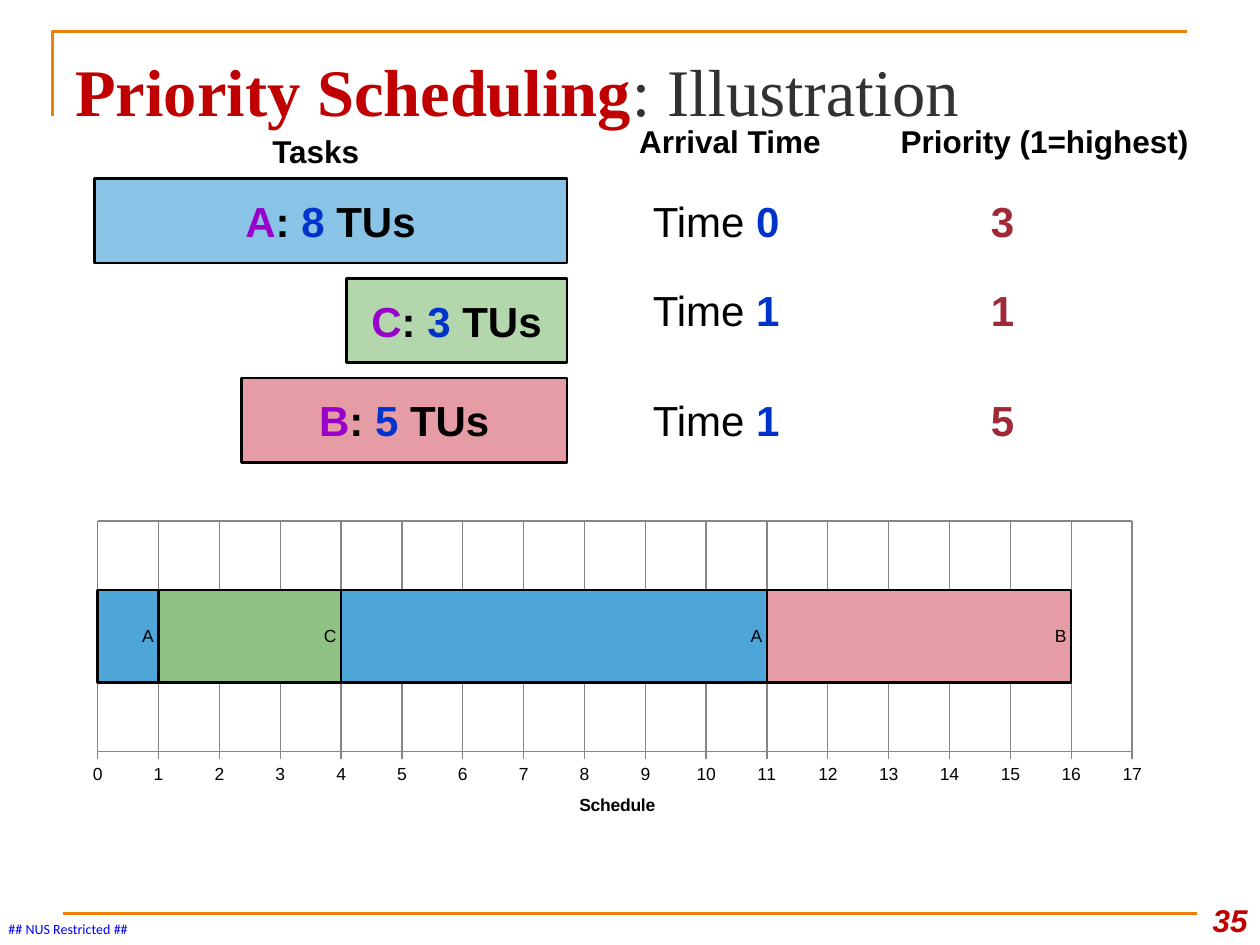
from lxml import etree
from pptx import Presentation
from pptx import util as u
from pptx.chart import data
from pptx.dml.color import RGBColor
from pptx.enum import chart as ch, shapes, text
from pptx.oxml import parse_xml
from pptx.oxml.ns import nsdecls, qn

COLORS = {
    "accent": "F07F09", "black": "000000", "title": "323232", "red": "C00000",
    "name": "9900CC", "number": "0033CC", "priority": "9F2936", "footer": "0000FF",
    "task_a": "89C3E5", "task_c": "B3D6AC", "task_b": "E69CA4",
    "bar_a": "4EA5D8", "bar_c": "8EC182", "bar_b": "E69CA4", "grid": "868686",
}
ALIGN = {"l": text.PP_ALIGN.LEFT, "c": text.PP_ALIGN.CENTER, "r": text.PP_ALIGN.RIGHT}
ANCHOR = {"t": text.MSO_ANCHOR.TOP, "m": text.MSO_ANCHOR.MIDDLE, "b": text.MSO_ANCHOR.BOTTOM}


def rgb(name):
    return RGBColor.from_string(COLORS[name])


def add_run(p, content, size=24, color="black", bold=False, italic=False, font="Arial"):
    r = p.add_run()
    r.text = content
    f = r.font
    f.name, f.size, f.bold, f.italic = font, u.Pt(size), bold, italic
    f.color.rgb = rgb(color)


class SlideBuilder:
    line_width = u.Pt(1.5)

    def __init__(self, s):
        self.s = s

    def outline(self, line, color):
        line.color.rgb = rgb(color)
        line.width = self.line_width

    def fill_text(self, tf, runs, align="l", anchor="t", wrap=True):
        tf.word_wrap = wrap
        tf.vertical_anchor = ANCHOR[anchor]
        p = tf.paragraphs[0]
        p.alignment = ALIGN[align]
        for content, fmt in runs:
            add_run(p, content, **fmt)

    def text(self, x, y, w, h, runs, inset=True, **kw):
        tf = self.s.shapes.add_textbox(u.Cm(x), u.Cm(y), u.Cm(w), u.Cm(h)).text_frame
        if not inset:
            tf.margin_left = tf.margin_right = tf.margin_top = tf.margin_bottom = 0
        self.fill_text(tf, runs, **kw)

    def box(self, x, y, w, h, fill, runs):
        sp = self.s.shapes.add_shape(shapes.MSO_SHAPE.RECTANGLE, u.Cm(x), u.Cm(y), u.Cm(w), u.Cm(h))
        sp.shadow.inherit = False
        sp.fill.solid()
        sp.fill.fore_color.rgb = rgb(fill)
        self.outline(sp.line, "black")
        self.fill_text(sp.text_frame, runs, align="c", anchor="m", wrap=False)

    def line(self, x1, y1, x2, y2, color):
        c = self.s.shapes.add_connector(shapes.MSO_CONNECTOR.STRAIGHT,
                                        u.Cm(x1), u.Cm(y1), u.Cm(x2), u.Cm(y2))
        self.outline(c.line, color)
        etree.SubElement(c._element.spPr, qn("a:effectLst"))

    def polyline(self, points, color):
        pts = [(u.Cm(x), u.Cm(y)) for x, y in points]
        fb = self.s.shapes.build_freeform(*pts[0])
        fb.add_line_segments(pts[1:], close=False)
        sp = fb.convert_to_shape()
        sp.shadow.inherit = False
        sp.fill.background()
        self.outline(sp.line, color)

    def schedule_chart(self, x, y, w, h, bars, title, end):
        cd = data.CategoryChartData()
        cd.categories = ["1"]
        for name, length, _ in bars:
            cd.add_series(name, [length])
        chart = self.s.shapes.add_chart(ch.XL_CHART_TYPE.BAR_STACKED, u.Cm(x), u.Cm(y),
                                        u.Cm(w), u.Cm(h), cd).chart
        chart.has_legend = chart.has_title = False
        chart.font.name, chart.font.size = "Arial", u.Pt(10)
        chart.font.color.rgb = rgb("black")

        # Bars, labelled with the task that runs
        plot = chart.plots[0]
        plot.gap_width, plot.overlap, plot.vary_by_categories = 150, 100, False
        for series, (_, _, color) in zip(plot.series, bars):
            series.format.fill.solid()
            series.format.fill.fore_color.rgb = rgb(color)
            self.outline(series.format.line, "black")
            labels = series.data_labels
            labels.show_series_name, labels.show_value = True, False
            labels.position = ch.XL_LABEL_POSITION.INSIDE_END

        # Axes
        cat, val = chart.category_axis, chart.value_axis
        cat.visible = False
        val.minimum_scale, val.maximum_scale, val.major_unit = 0, end, 1
        val.major_tick_mark = ch.XL_TICK_MARK.OUTSIDE
        val.format.line.color.rgb = rgb("grid")
        for axis in (cat, val):
            axis.has_major_gridlines = True
            axis.major_gridlines.format.line.color.rgb = rgb("grid")
        p = val.axis_title.text_frame.paragraphs[0]
        add_run(p, title, size=10, bold=True)

        # Fixed inner plot area
        area = chart._chartSpace.chart.plotArea
        for old in area.findall(qn("c:layout")):
            area.remove(old)
        sizes = "".join(f'<c:{k} val="{v}"/>' for k, v in
                        (("x", 0.02), ("y", 0.02), ("w", 0.95), ("h", 0.71)))
        area.insert(0, parse_xml(
            f'<c:layout {nsdecls("c")}><c:manualLayout><c:layoutTarget val="inner"/>'
            f'<c:xMode val="edge"/><c:yMode val="edge"/>{sizes}</c:manualLayout></c:layout>'))


def main():
    prs = Presentation()
    prs.slide_width, prs.slide_height = u.Cm(25.4), u.Cm(19.05)
    b = SlideBuilder(prs.slides.add_slide(prs.slide_layouts[6]))

    # Frame, footer and title
    b.polyline([(1.06, 2.33), (1.06, 0.63), (23.93, 0.63)], "accent")
    b.line(1.27, 18.41, 24.13, 18.41, "accent")
    b.text(0.17, 18.55, 2.46, 0.33, [("## NUS Restricted ##", dict(size=8, color="footer", font="Calibri"))],
           inset=False)
    b.text(23.93, 17.78, 1.47, 1.27, [("35", dict(size=18, color="red", bold=True, italic=True))],
           align="r", anchor="b")
    heading = dict(size=38, font="Times New Roman")
    b.text(1.27, 0.76, 22.86, 1.98, [("Priority Scheduling", dict(heading, color="red", bold=True)),
                                     (": Illustration", dict(heading, color="title"))], anchor="b")

    # Column headers
    for x, y, w, label in ((4.23, 2.54, 4.45, "Tasks "), (12.49, 2.33, 4.45, "Arrival Time"),
                           (17.78, 2.33, 6.56, "Priority (1=highest)")):
        b.text(x, y, w, 1.02, [(label, dict(size=18, bold=True))], align="c")

    # Task rows: right-aligned box, arrival time, priority
    right, top, step = 11.43, 3.6, 2.01
    tasks = (("A", "8", "0", "3", 9.53, 3.81, "task_a"),
             ("C", "3", "1", "1", 4.45, 5.61, "task_c"),
             ("B", "5", "1", "5", 6.56, 7.83, "task_b"))
    strong = dict(bold=True)
    number = dict(color="number", bold=True)
    for i, (name, units, arrival, priority, w, y, fill) in enumerate(tasks):
        b.box(right - w, top + i * step, w, 1.7, fill,
              [(name, dict(color="name", bold=True)), (": ", strong), (units, number), (" TUs", strong)])
        b.text(12.91, y, 4.02, 1.27, [("Time ", {}), (arrival, number)])
        b.text(18.2, y, 4.02, 1.27, [(priority, dict(color="priority", bold=True))], align="c")

    # Schedule
    b.schedule_chart(1.53, 10.37, 21.95, 6.56,
                     [("A", 1, "bar_a"), ("C", 3, "bar_c"), ("A", 7, "bar_a"), ("B", 5, "bar_b")],
                     "Schedule", 17)
    prs.save("out.pptx")


if __name__ == "__main__":
    main()
